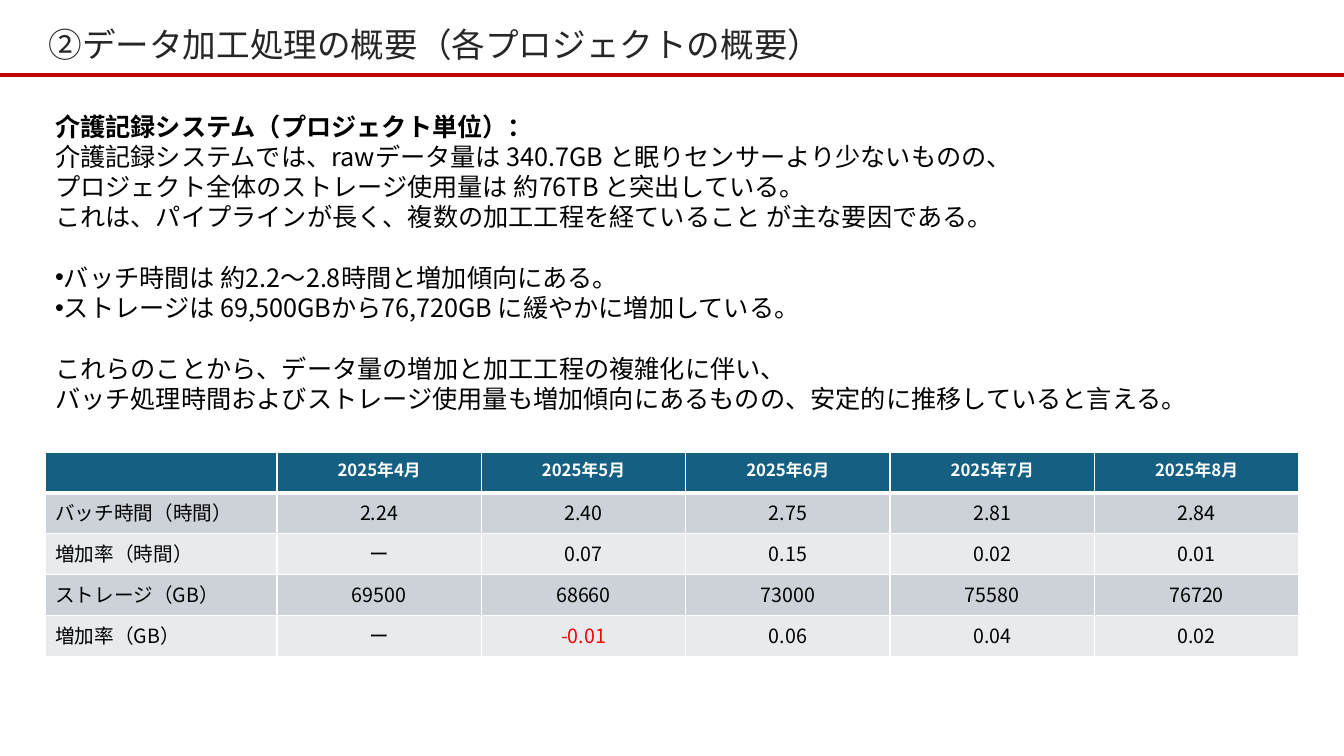
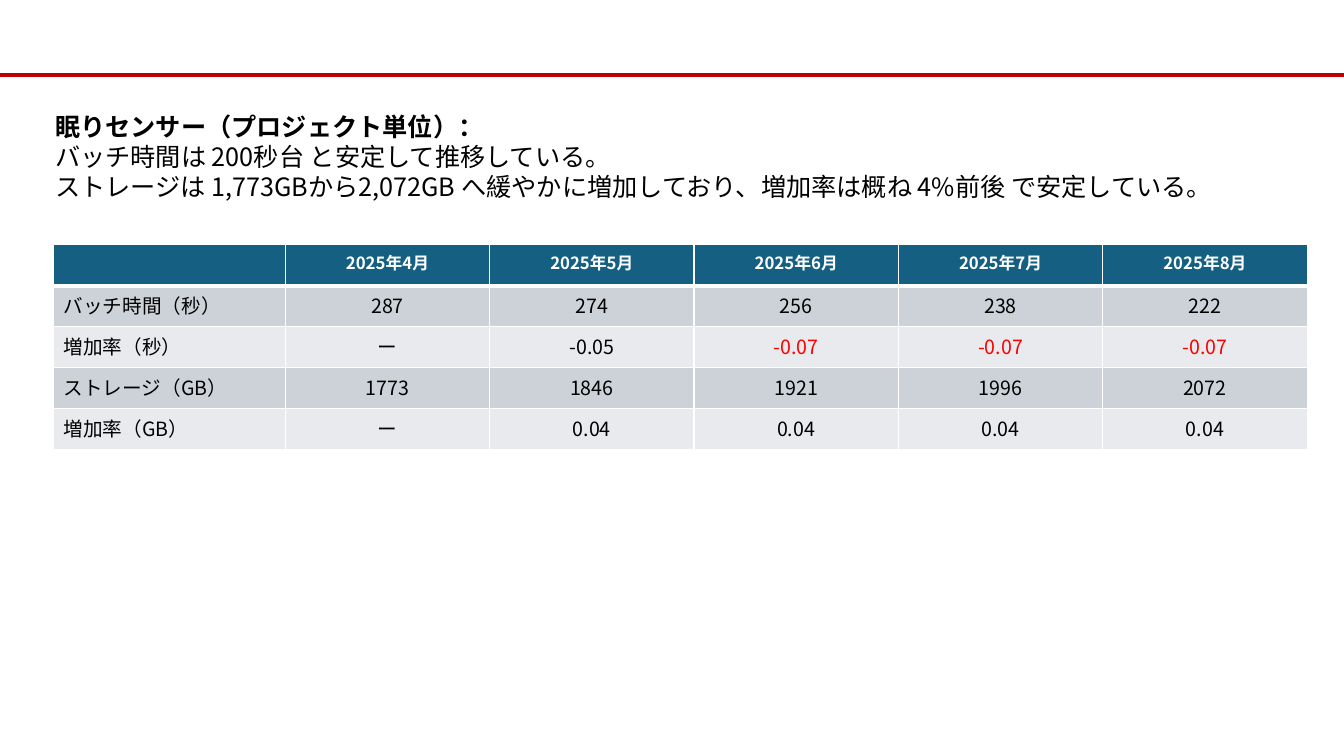
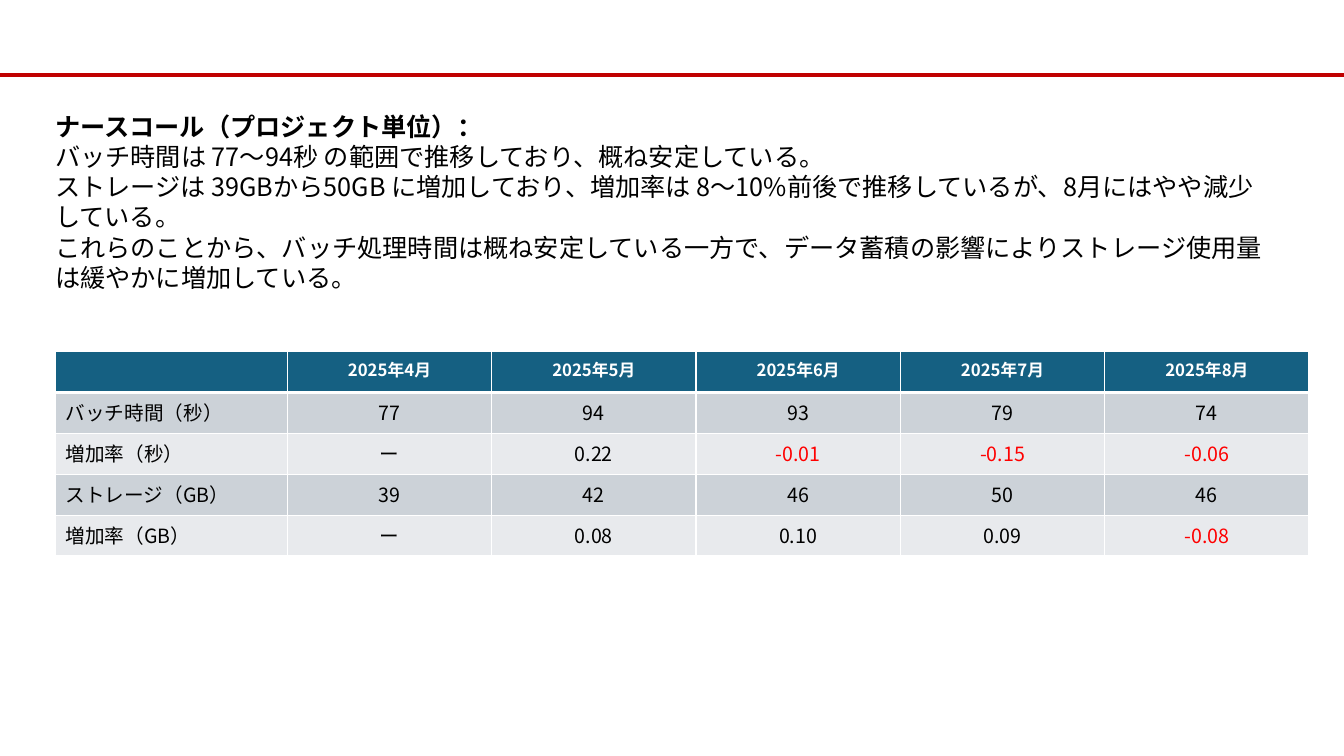
from lxml import etree
from pptx import Presentation
from pptx.dml.color import RGBColor
from pptx.enum import shapes, text
from pptx.oxml import ns
from pptx.util import Cm, Pt

# Shared look
FONT = "Noto Sans CJK JP"
RED_RULE = RGBColor(0xC0, 0x00, 0x00)
TITLE_INK = RGBColor(0x26, 0x26, 0x26)
INK = RGBColor(0x00, 0x00, 0x00)
WHITE = RGBColor(0xFF, 0xFF, 0xFF)
DECLINE = RGBColor(0xFF, 0x00, 0x00)
HEADER_FILL = RGBColor(0x15, 0x60, 0x82)
BAND_FILLS = (RGBColor(0xCC, 0xD2, 0xD8), RGBColor(0xE8, 0xEA, 0xED))

PAGE_WIDTH, PAGE_HEIGHT = Cm(33.87), Cm(19.05)
RULE_TOP = Cm(1.9)
TEXT_LEFT, TEXT_TOP, TEXT_WIDTH = Cm(1.14), Cm(2.67), Cm(30.91)
LABEL_WIDTH, MONTH_WIDTH, ROW_HEIGHT = Cm(5.84), Cm(5.15), Cm(1.03)
LINE_PITCH = Pt(21.6)

MONTHS = [f"2025年{month}月" for month in range(4, 9)]


def style(para, size, color, bold=False):
    """Set one font for the whole paragraph, East Asian text included."""
    font = para.font
    font.name, font.size, font.bold = FONT, Pt(size), bold
    font.color.rgb = color
    defaults = para._p.pPr.find(ns.qn("a:defRPr"))
    etree.SubElement(defaults, ns.qn("a:ea"), typeface=FONT)


def add_bullet(para):
    props = para._p.get_or_add_pPr()
    etree.SubElement(props, ns.qn("a:buFont"), typeface="Arial")
    etree.SubElement(props, ns.qn("a:buChar"), char="•")


def add_page(deck, title=None):
    """Add a page with the red rule, and a title if there is one."""
    page = deck.slides.add_slide(deck.slide_layouts[5 if title else 6])
    rule = page.shapes.add_connector(
        shapes.MSO_CONNECTOR.STRAIGHT, 0, RULE_TOP, PAGE_WIDTH, RULE_TOP)
    rule.line.color.rgb = RED_RULE
    rule.line.width = Pt(2.75)
    etree.SubElement(rule._element.spPr, ns.qn("a:effectLst"))
    if title:
        box = page.shapes.title
        box.left, box.top, box.width, box.height = Cm(0.97), Cm(0.46), Cm(26.06), Cm(1.42)
        frame = box.text_frame
        frame.text = title
        frame.vertical_anchor = text.MSO_ANCHOR.MIDDLE
        para = frame.paragraphs[0]
        para.alignment = text.PP_ALIGN.LEFT
        para.line_spacing = 0.9
        style(para, 24, TITLE_INK)
    return page


def add_summary(page, height, heading, groups):
    """Add a bold heading and groups of paragraphs, one line apart."""
    box = page.shapes.add_textbox(TEXT_LEFT, TEXT_TOP, TEXT_WIDTH, height)
    frame = box.text_frame
    frame.word_wrap = True
    para = frame.paragraphs[0]
    para.text = heading
    para.line_spacing = LINE_PITCH
    style(para, 18, INK, bold=True)
    for group_index, group in enumerate(groups):
        for item_index, item in enumerate(group):
            para = frame.add_paragraph()
            para.text = item.removeprefix("•")
            para.line_spacing = LINE_PITCH
            if group_index and not item_index:
                para.space_before = LINE_PITCH
            if item.startswith("•"):
                add_bullet(para)
            style(para, 18, INK)


def set_borders(cell, **widths):
    """Draw white cell borders; widths are points by side (L, R, T, B)."""
    props = cell._tc.get_or_add_tcPr()
    for side in "LRTB":
        line = etree.SubElement(
            props, ns.qn(f"a:ln{side}"), w=str(Pt(widths.get(side, 1))))
        fill = etree.SubElement(line, ns.qn("a:solidFill"))
        etree.SubElement(fill, ns.qn("a:srgbClr"), val=str(WHITE))


def add_month_table(page, left, top, unit, values, plain=()):
    """Add the monthly table; negatives are red unless their place is plain."""
    labels = [f"{name}（{kind}）" for kind, names in (
        (unit, ("バッチ時間", "増加率")), ("GB", ("ストレージ", "増加率"))) for name in names]
    rows = [["", *MONTHS]] + [[label, *line.split()] for label, line in zip(labels, values)]
    table = page.shapes.add_table(
        len(rows), len(rows[0]), left, top,
        LABEL_WIDTH + MONTH_WIDTH * len(MONTHS), ROW_HEIGHT * len(rows)).table
    for index, column in enumerate(table.columns):
        column.width = MONTH_WIDTH if index else LABEL_WIDTH
    for r, row in enumerate(rows):
        for c, value in enumerate(row):
            cell = table.cell(r, c)
            set_borders(cell, T=3 if r == 1 else 1, B=1 if r else 3)
            cell.fill.solid()
            cell.fill.fore_color.rgb = BAND_FILLS[(r - 1) % 2] if r else HEADER_FILL
            para = cell.text_frame.paragraphs[0]
            para.text = value
            if c:
                para.alignment = text.PP_ALIGN.CENTER
            if r == 0:
                style(para, 12, WHITE, bold=True)
            else:
                falling = value.startswith("-") and (r, c) not in plain
                style(para, 14, DECLINE if falling else INK)


def main():
    deck = Presentation()
    deck.slide_width, deck.slide_height = PAGE_WIDTH, PAGE_HEIGHT

    # Care records
    page = add_page(deck, "②データ加工処理の概要（各プロジェクトの概要）")
    add_month_table(page, Cm(1.14), Cm(11.39), "時間", [
        "2.24 2.40 2.75 2.81 2.84",
        "ー 0.07 0.15 0.02 0.01",
        "69500 68660 73000 75580 76720",
        "ー -0.01 0.06 0.04 0.02"])
    add_summary(page, Cm(7.95), "介護記録システム（プロジェクト単位）：", [
        ["介護記録システムでは、rawデータ量は 340.7GB と眠りセンサーより少ないものの、\n"
         "プロジェクト全体のストレージ使用量は 約76TB と突出している。\n"
         "これは、パイプラインが長く、複数の加工工程を経ていること が主な要因である。"],
        ["•バッチ時間は 約2.2～2.8時間と増加傾向にある。",
         "•ストレージは 69,500GBから76,720GB に緩やかに増加している。"],
        ["これらのことから、データ量の増加と加工工程の複雑化に伴い、\n"
         "バッチ処理時間およびストレージ使用量も増加傾向にあるものの、安定的に推移していると言える。"]])

    # Sleep sensor
    page = add_page(deck)
    add_month_table(page, Cm(1.35), Cm(6.17), "秒", [
        "287 274 256 238 222",
        "ー -0.05 -0.07 -0.07 -0.07",
        "1773 1846 1921 1996 2072",
        "ー 0.04 0.04 0.04 0.04"], plain={(2, 2)})
    add_summary(page, Cm(2.57), "眠りセンサー（プロジェクト単位）：", [
        ["バッチ時間は 200秒台 と安定して推移している。\n"
         "ストレージは 1,773GBから2,072GB へ緩やかに増加しており、増加率は概ね 4%前後 で安定している。"]])

    # Nurse call
    page = add_page(deck)
    add_month_table(page, Cm(1.4), Cm(8.86), "秒", [
        "77 94 93 79 74",
        "ー 0.22 -0.01 -0.15 -0.06",
        "39 42 46 50 46",
        "ー 0.08 0.10 0.09 -0.08"])
    add_summary(page, Cm(5.64), "ナースコール（プロジェクト単位）：", [
        ["バッチ時間は 77～94秒 の範囲で推移しており、概ね安定している。",
         "ストレージは 39GBから50GB に増加しており、増加率は 8～10%前後で推移しているが、8月にはやや減少している。",
         "これらのことから、バッチ処理時間は概ね安定している一方で、データ蓄積の影響により"
         "ストレージ使用量は緩やかに増加している。"]])

    deck.save("out.pptx")


if __name__ == "__main__":
    main()
